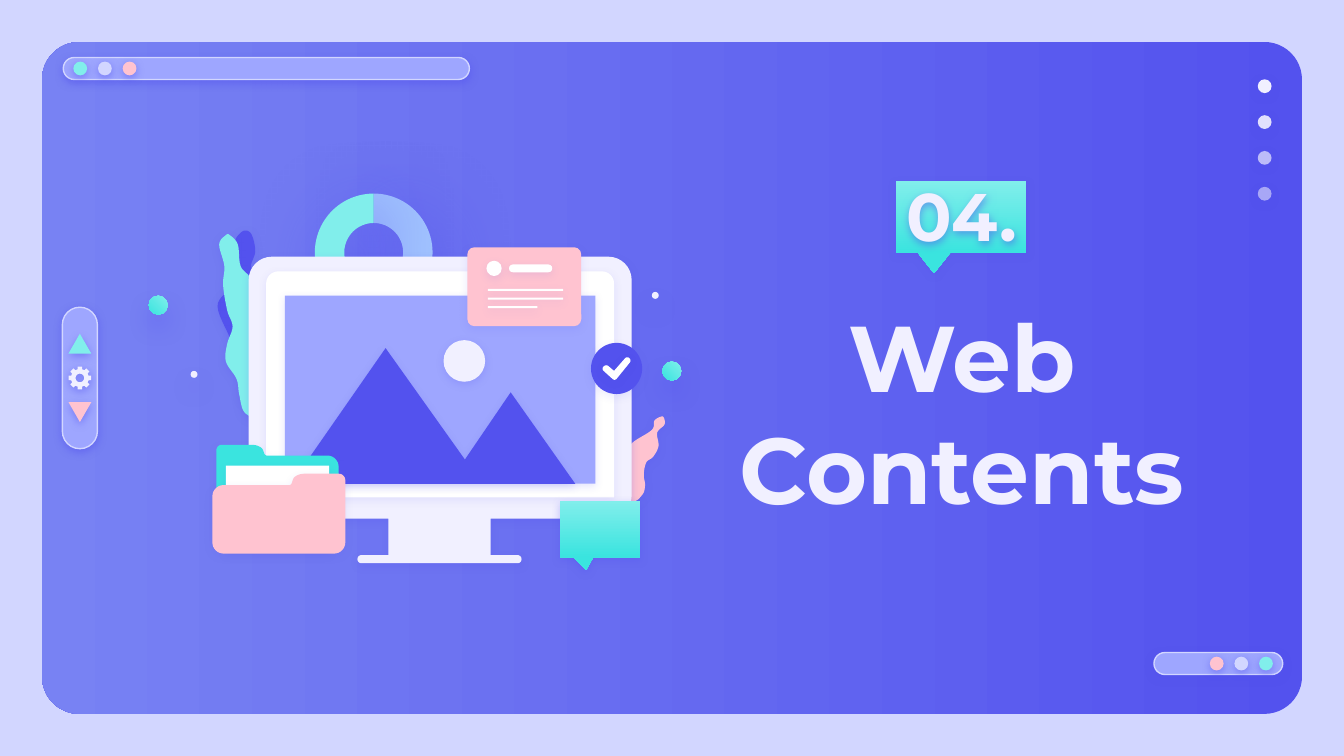
import math

from lxml import etree
from pptx import Presentation
from pptx.dml.color import RGBColor
from pptx.enum import shapes as kinds, text
from pptx.oxml.ns import qn
from pptx.util import Pt

INDIGO = RGBColor(0x53, 0x52, 0xEE)
PERIWINKLE = RGBColor(0x78, 0x82, 0xF3)
LILAC = RGBColor(0x9E, 0xA6, 0xFF)
LAVENDER = RGBColor(0xD2, 0xD6, 0xFF)
SKY = RGBColor(0xA1, 0xC3, 0xFF)
AQUA = RGBColor(0x81, 0xEE, 0xEB)
TEAL = RGBColor(0x3A, 0xE4, 0xDF)
PINK = RGBColor(0xFF, 0xC3, 0xD0)
PALE = RGBColor(0xF1, 0xF0, 0xFF)
WHITE = RGBColor(0xFF, 0xFF, 0xFF)

KIND = kinds.MSO_SHAPE
FLOATING = (38, 12.4, 6.8, 90)  # shadow opacity, blur, distance, direction
RING = (67, 38.2, 9, 49)

# Leaf outlines, as points of a closed smooth curve
PINK_LEAF = [
    (282.2, 151.2), (283.7, 151.9), (284, 155.5), (280.1, 159.8), (280.8, 167), (277.9, 172.8),
    (274.3, 175.7), (272.9, 182.2), (273.6, 187.9), (272.2, 193), (266.4, 196.6), (255.6, 189.4),
    (259.9, 175.7), (263.5, 172.8), (266.4, 165.6), (277.2, 158.4), (278.6, 153.4)]
INDIGO_LEAF = [
    (58.3, 51.8), (62.6, 53.3), (64.8, 62.6), (62.6, 71.3), (67.7, 80.6), (72.7, 94.3),
    (70.6, 100.1), (74.2, 110.9), (78.5, 118.8), (75.6, 128.9), (72.7, 138.2), (70.6, 146.2),
    (65.5, 146.2), (56.9, 139.7), (56.9, 122.4), (51.1, 108.7), (44.6, 92.2), (50.4, 82.8),
    (55.4, 72), (54.7, 64.1), (54, 56.9)]
AQUA_LEAF = [
    (51.1, 54), (55.4, 59), (56.9, 70.6), (62.6, 77.8), (65.5, 91.4), (69.1, 103.7),
    (74.9, 117.4), (70.6, 133.2), (74.2, 145.4), (67, 151.9), (59, 149), (56.2, 139.7),
    (54.7, 131), (49, 121.7), (49.7, 112.3), (52.6, 103), (49.7, 94.3), (47.5, 80.6),
    (48.2, 70.6), (45.4, 59), (49, 54)]

# Outlines with rounded corners, as x, y and corner radius
MONITOR = [
    (61.2, 65.5, 12.5), (266.4, 65.5, 12.5), (266.4, 205.9, 12.5), (190.8, 205.9, 0),
    (190.8, 225.4, 0), (207.4, 225.4, 2.1), (207.4, 229.7, 2.1), (119.5, 229.7, 2.1),
    (119.5, 225.4, 2.1), (136.1, 225.4, 0), (136.1, 205.9, 0), (61.2, 205.9, 12.5)]
BEZEL = [(70.6, 73.4, 6.5), (257, 73.4, 6.5), (257, 194.4, 0), (70.6, 194.4, 0)]
MOUNTAINS = [(134.6, 114.5, 0), (90, 178.6, 0), (90, 187.2, 0), (236.2, 187.2, 0),
             (201.6, 138.2, 0), (177.1, 174.2, 0)]
CHECK = [(263.9, 118.8, 1.5), (266.4, 121, 1.5), (257.4, 132.1, 1.5), (250.2, 125.6, 1.5),
         (252.7, 123.1, 1.5), (257, 126.7, 0)]
FOLDER_BACK = [(43.9, 166.3, 3), (67.9, 166.3, 5), (70, 172.1, 1), (109.4, 172.1, 6),
               (109.4, 219.6, 6), (43.9, 219.6, 6)]
FOLDER_FRONT = [(86, 181.8, 5), (113, 181.8, 3.5), (113, 224.6, 6), (41.8, 224.6, 6),
                (41.8, 187.9, 6), (84, 187.9, 1)]


def cast_shadow(shape, opacity, blur=4.5, distance=1.5, direction=90):
    shape.shadow.inherit = False
    effects = shape.element.spPr.find(qn("a:effectLst"))
    outer = etree.SubElement(effects, qn("a:outerShdw"), blurRad=str(Pt(blur)), dist=str(Pt(distance)),
                             dir=str(direction * 60000), algn="bl", rotWithShape="0")
    color = etree.SubElement(outer, qn("a:srgbClr"), val=str(INDIGO))
    etree.SubElement(color, qn("a:alpha"), val=str(opacity * 1000))


def paint(shape, fill, shadow=(50,), line=None, angle=270):
    """Fill with one colour, or with a pair of colours as a gradient."""
    if isinstance(fill, list):
        shape.fill.gradient()
        shape.fill.gradient_angle = angle
        for stop, color in zip(shape.fill.gradient_stops, fill):
            stop.color.rgb = color
    else:
        shape.fill.solid()
        shape.fill.fore_color.rgb = fill
    if line is None:
        shape.line.fill.background()
    else:
        shape.line.color.rgb = line
        shape.line.width = Pt(0.75)
    if shadow:
        cast_shadow(shape, *shadow)
    else:
        shape.shadow.inherit = False
    return shape


def preset(slide, box, kind, place, fill, adjust=(), **look):
    x, y, w, h = place
    shape = slide.shapes.add_shape(kind, Pt(box[0] + x), Pt(box[1] + y), Pt(w), Pt(h))
    for i, value in enumerate(adjust):
        shape.adjustments[i] = value
    return paint(shape, fill, **look)


def disc(slide, box, x, y, size, fill, **look):
    return preset(slide, box, KIND.OVAL, (x, y, size, size), fill, **look)


def outline(slide, box, contours, fill, shadow):
    emu = [[(Pt(x), Pt(y)) for x, y in contour] for contour in contours]
    builder = slide.shapes.build_freeform(*emu[0][0])
    for i, contour in enumerate(emu):
        if i:
            builder.move_to(*contour[0])
        builder.add_line_segments(contour[1:], close=True)
    return paint(builder.convert_to_shape(Pt(box[0]), Pt(box[1])), fill, shadow)


def smooth(points, steps=6):
    """Closed Catmull-Rom curve through the points."""
    curve, n = [], len(points)
    for i in range(n):
        corners = [points[(i + k) % n] for k in (-1, 0, 1, 2)]
        for t in (s / steps for s in range(steps)):
            curve.append(tuple(
                (2 * b + (c - a) * t + (2 * a - 5 * b + 4 * c - d) * t ** 2
                 + (3 * b - a - 3 * c + d) * t ** 3) / 2 for a, b, c, d in zip(*corners)))
    return curve


def rounded(corners, steps=8):
    """Polygon whose corners are cut by curves of the given radius."""
    curve = []
    for i, (x, y, r) in enumerate(corners):
        if not r:
            curve.append((x, y))
            continue
        ends = []
        for nx, ny, _ in (corners[i - 1], corners[(i + 1) % len(corners)]):
            length = math.hypot(nx - x, ny - y)
            reach = min(r, length / 2) / length
            ends.append(((nx - x) * reach, (ny - y) * reach))
        (ax, ay), (bx, by) = ends
        for t in (s / steps for s in range(steps + 1)):
            a = (1 - t) ** 3 + 1.35 * t * (1 - t) ** 2
            b = t ** 3 + 1.35 * t ** 2 * (1 - t)
            curve.append((x + a * ax + b * bx, y + a * ay + b * by))
    return curve


def window_bar(slide, box, first, colors):
    preset(slide, box, KIND.ROUNDED_RECTANGLE, (0, 0, *box[2:]), LILAC, (0.5,), line=LAVENDER)
    for i, color in enumerate(colors):
        disc(slide, box, first + 13.2 * i, (box[3] - 7.4) / 2, 7.4, color)


def page_dots(slide, box):
    for i, opacity in enumerate((100, 90, 67, 54)):
        dot = disc(slide, box, 0, 19.2 * i, box[2], PALE)
        color = dot.element.spPr.find(qn("a:solidFill"))[0]
        etree.SubElement(color, qn("a:alpha"), val=str(opacity * 1000))


def scroll_control(slide, box):
    preset(slide, box, KIND.ROUNDED_RECTANGLE, (0, 0, *box[2:]), LILAC, (0.5,), line=LAVENDER)
    preset(slide, box, KIND.ISOSCELES_TRIANGLE, (3.3, 14.2, 12.2, 10.6), AQUA)
    preset(slide, box, KIND.ISOSCELES_TRIANGLE, (3.3, 50.9, 12.2, 10.6), PINK).rotation = 180
    # Gear: eight teeth around a round hole
    cx, cy = box[2] / 2, box[3] / 2
    ring = lambda steps: [(cx + r * math.cos(math.radians(a)), cy + r * math.sin(math.radians(a)))
                          for a, r in steps]
    teeth = ring((45 * k + a, r) for k in range(8) for a, r in ((-15, 4.8), (-11, 6.2), (11, 6.2), (15, 4.8)))
    outline(slide, box, [teeth, ring((a, 2.3) for a in range(0, 360, 15))], PALE, (52,))


def computer_scene(slide, box):
    # Ring and leaves behind the monitor
    for turn, color in ((90, SKY), (270, AQUA)):
        preset(slide, box, KIND.BLOCK_ARC, (96.7, 31.7, 63, 63), color, (108, 0, 0.25), shadow=RING).rotation = turn
    for leaf, color in ((PINK_LEAF, PINK), (INDIGO_LEAF, INDIGO), (AQUA_LEAF, AQUA)):
        outline(slide, box, [smooth(leaf)], color, (18,))
    # Monitor and its screen
    outline(slide, box, [rounded(MONITOR)], PALE, (22,))
    outline(slide, box, [rounded(BEZEL)], WHITE, (9,))
    preset(slide, box, KIND.RECTANGLE, (80.6, 86.4, 166.4, 100.8), LILAC, shadow=(14,))
    # Message card
    preset(slide, box, KIND.ROUNDED_RECTANGLE, (178.4, 60.5, 61, 42.3), PINK, (0.09,), shadow=(11,))
    disc(slide, box, 188.6, 67.7, 8.2, WHITE, shadow=(11,))
    preset(slide, box, KIND.ROUNDED_RECTANGLE, (200.7, 69.7, 23.2, 4.2), WHITE, (0.5,), shadow=(11,))
    for i, width in enumerate((40.3, 40.3, 26.6)):
        preset(slide, box, KIND.RECTANGLE, (189.4, 82.8 + 4.6 * i, width, 1.1), WHITE, shadow=(11,))
    # Check badge
    disc(slide, box, 244.6, 111.7, 27.4, INDIGO, shadow=(10,))
    outline(slide, box, [rounded(CHECK)], WHITE, (10,))
    # Mountains and sun
    outline(slide, box, [rounded(MOUNTAINS)], INDIGO, (18,))
    disc(slide, box, 165.6, 110.2, 22.3, PALE, shadow=(18,))
    # Folder
    outline(slide, box, [rounded(FOLDER_BACK)], TEAL, (10,))
    preset(slide, box, KIND.RECTANGLE, (49, 177.5, 55.4, 46.4), WHITE, shadow=(10,))
    outline(slide, box, [rounded(FOLDER_FRONT)], PINK, (10,))
    # Floating dots and speech bubble
    for x, y in ((7.7, 86.4), (282.8, 121.7)):
        disc(slide, box, x, y, 10.2, [AQUA, TEAL], shadow=FLOATING, angle=225)
    for x, y in ((30.1, 126.7), (277.2, 84.4)):
        disc(slide, box, x, y, 3.7, PALE, shadow=FLOATING)
    preset(slide, box, KIND.ROUNDED_RECTANGULAR_CALLOUT, (228, 196.5, 42.9, 30), [AQUA, TEAL],
           (-0.174, 0.731, 0), shadow=(31,))


def heading(slide, box, holder, words, size, anchor):
    holder.left, holder.top, holder.width, holder.height = map(Pt, box)
    slide.shapes.element.append(holder.element)  # bring in front of the panel
    frame = holder.text_frame
    frame.text = words
    frame.word_wrap, frame.auto_size = True, text.MSO_AUTO_SIZE.NONE
    frame.vertical_anchor = anchor
    frame.margin_left = frame.margin_right = frame.margin_top = frame.margin_bottom = Pt(7.2)
    line = frame.paragraphs[0]
    line.alignment, line.space_before, line.line_spacing = text.PP_ALIGN.CENTER, Pt(0), 1.0
    font = line.runs[0].font
    font.name, font.size, font.bold = "Montserrat", Pt(size), True
    font.color.rgb = PALE


def section_slide(deck, box):
    slide = deck.slides.add_slide(deck.slide_layouts[0])
    slide.background.fill.solid()
    slide.background.fill.fore_color.rgb = LAVENDER
    preset(slide, box, KIND.ROUNDED_RECTANGLE, (22.5, 22.5, 675, 360), [INDIGO, PERIWINKLE], (0.056,),
           shadow=None, angle=180)
    window_bar(slide, (33.9, 30.8, 217.6, 11.8), 5.4, (AQUA, LAVENDER, PINK))
    window_bar(slide, (618.2, 349.6, 69, 11.8), 29.9, (PINK, LAVENDER, AQUA))
    page_dots(slide, (673.8, 42.5, 7.4, 65))
    # Section number and title
    preset(slide, box, KIND.ROUNDED_RECTANGULAR_CALLOUT, (480, 97, 70, 38.3), [AQUA, TEAL],
           (-0.209, 0.79, 0), shadow=(24,))
    title, number = slide.placeholders
    heading(slide, (379.4, 169.2, 272.2, 102.2), title, "Web Contents", 50, text.MSO_ANCHOR.MIDDLE)
    heading(slide, (474.5, 105.8, 81.4, 38.2), number, "04.", 36, text.MSO_ANCHOR.BOTTOM)
    cast_shadow(number, 50)
    scroll_control(slide, (33.4, 164.6, 18.8, 75.8))
    computer_scene(slide, (72, 72, 300, 234))


if __name__ == "__main__":
    deck = Presentation()
    deck.slide_width, deck.slide_height = Pt(720), Pt(405)
    section_slide(deck, (0, 0, 720, 405))
    deck.save("out.pptx")
